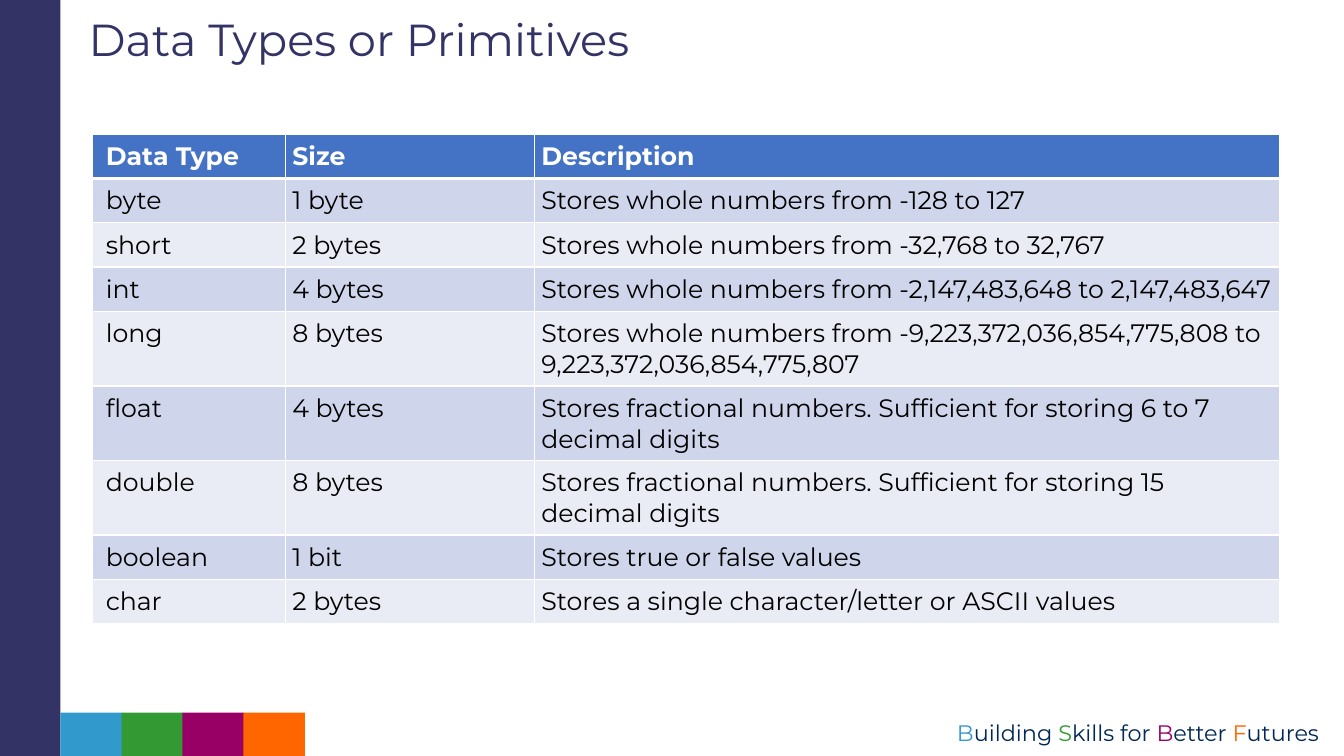
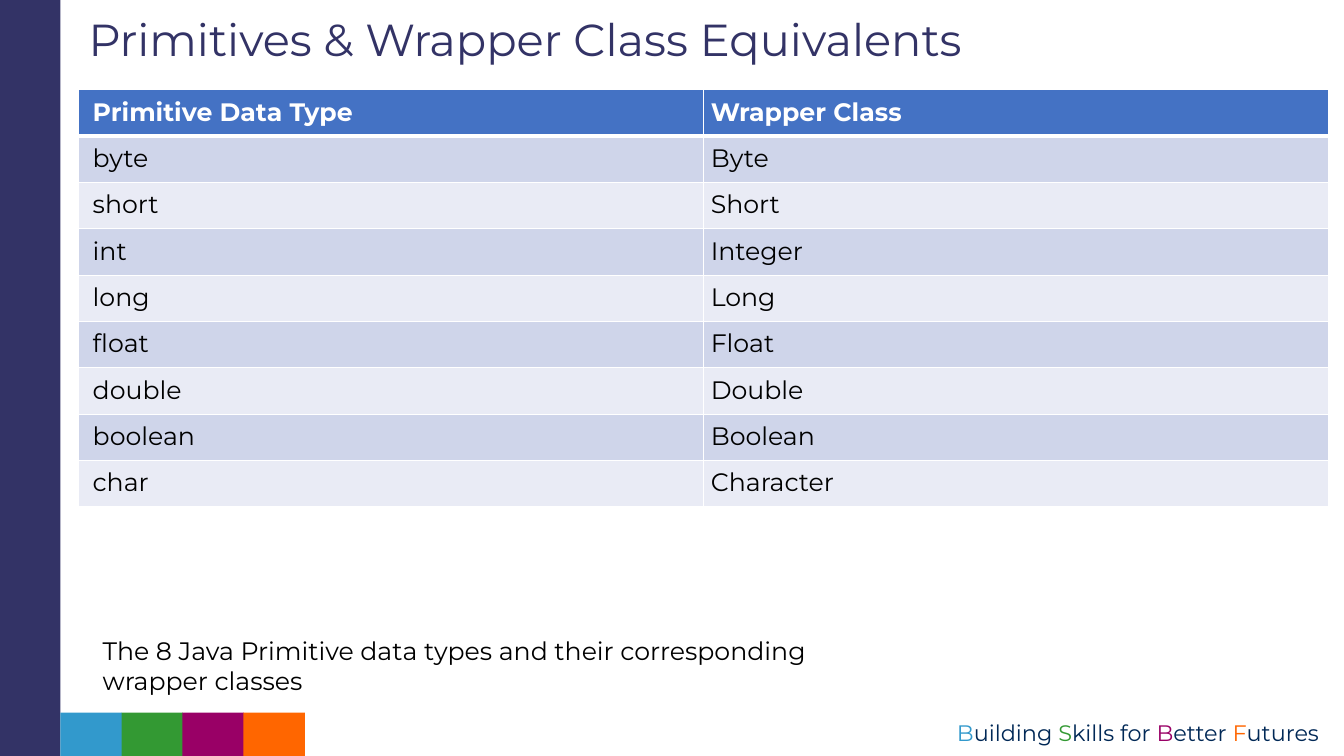
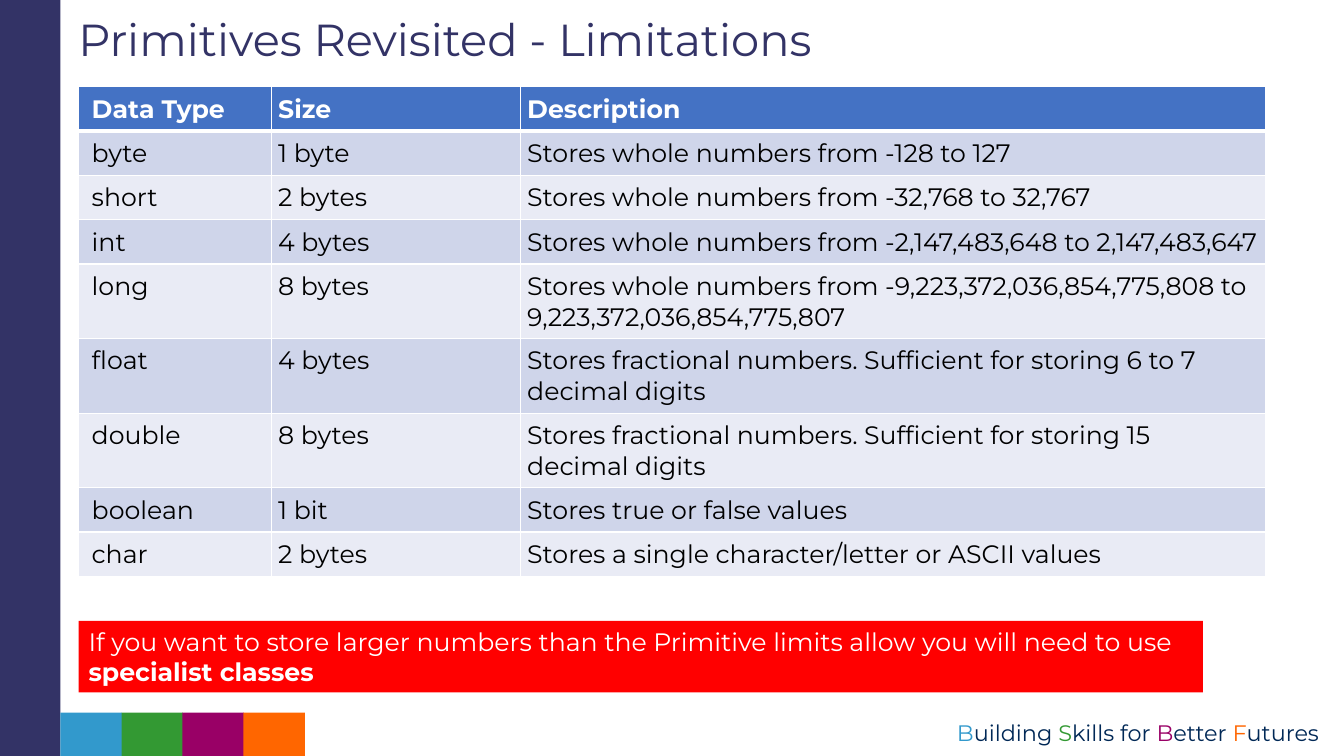
from dataclasses import dataclass

from lxml.etree import SubElement
from pptx import Presentation
from pptx.dml.color import RGBColor
from pptx.enum.shapes import MSO_SHAPE
from pptx.enum.text import MSO_ANCHOR, PP_ALIGN
from pptx.oxml.ns import qn
from pptx.shapes.autoshape import Shape
from pptx.slide import Slide
from pptx.table import _Cell
from pptx.text.text import _Paragraph
from pptx.util import Inches, Pt

FONT = "Montserrat"
NAVY = "333366"
DARK_BLUE = "002856"
BLUE, GREEN, PURPLE, ORANGE = ACCENTS = "3299CC", "339933", "990066", "FF6600"
RED, WHITE, BLACK = "FF0000", "FFFFFF", "000000"
HEADER_FILL = "4472C4"
BAND_FILLS = ("CFD5EA", "E9EBF5")

BAND_WIDTH = 0.6
SQUARE_TOP = 7.07
SLIDE_WIDTH, SLIDE_HEIGHT = 13.33, 7.5
CELL_MARGIN = 0.07

TAGLINE = (
    ("B", BLUE), ("uilding ", DARK_BLUE),
    ("S", GREEN), ("kills for ", DARK_BLUE),
    ("B", PURPLE), ("etter ", DARK_BLUE),
    ("F", ORANGE), ("utures", DARK_BLUE),
)

DATA_TYPES = (
    ("Data Type", "Size", "Description"),
    ("byte", "1 byte", "Stores whole numbers from -128 to 127"),
    ("short", "2 bytes", "Stores whole numbers from -32,768 to 32,767"),
    ("int", "4 bytes", "Stores whole numbers from -2,147,483,648 to 2,147,483,647"),
    ("long", "8 bytes", "Stores whole numbers from -9,223,372,036,854,775,808 to "
                        "9,223,372,036,854,775,807"),
    ("float", "4 bytes", "Stores fractional numbers. Sufficient for storing 6 to 7 decimal digits"),
    ("double", "8 bytes", "Stores fractional numbers. Sufficient for storing 15 decimal digits"),
    ("boolean", "1 bit", "Stores true or false values"),
    ("char", "2 bytes", "Stores a single character/letter or ASCII values"),
)

WRAPPER_CLASSES = (
    ("Primitive Data Type", "Wrapper Class"),
    ("byte", "Byte"),
    ("short", "Short"),
    ("int", "Integer"),
    ("long", "Long"),
    ("float", "Float"),
    ("double", "Double"),
    ("boolean", "Boolean"),
    ("char", "Character"),
)


@dataclass(frozen=True)
class Box:
    left: float
    top: float
    width: float
    height: float

    def lengths(self) -> tuple[Inches, ...]:
        return tuple(map(Inches, (self.left, self.top, self.width, self.height)))


@dataclass(frozen=True)
class TableDesign:
    rows: tuple[tuple[str, ...], ...]
    column_widths: tuple[float, ...]
    row_heights: tuple[float, ...]
    first_margin: float


DATA_TYPE_TABLE = TableDesign(
    DATA_TYPES, (1.91, 2.47, 7.39), (0.44,) * 4 + (0.74,) * 3 + (0.44,) * 2, 0.13)
WRAPPER_TABLE = TableDesign(WRAPPER_CLASSES, (6.2, 6.2), (0.46,) * 9, 0.14)


def color(value: str) -> RGBColor:
    return RGBColor.from_string(value)


def set_font(paragraph: _Paragraph, size: int, text_color: str, bold: bool = False) -> None:
    font = paragraph.font
    font.name, font.size, font.bold = FONT, Pt(size), bold
    font.color.rgb = color(text_color)


def add_rectangle(slide: Slide, box: Box, fill: str) -> Shape:
    shape = slide.shapes.add_shape(MSO_SHAPE.RECTANGLE, *box.lengths())
    shape.shadow.inherit = False
    shape.fill.solid()
    shape.fill.fore_color.rgb = color(fill)
    shape.line.fill.background()
    return shape


def add_text(slide: Slide, box: Box, text: str, size: int, text_color: str) -> _Paragraph:
    frame = slide.shapes.add_textbox(*box.lengths()).text_frame
    frame.word_wrap = True
    paragraph = frame.paragraphs[0]
    paragraph.text = text
    set_font(paragraph, size, text_color)
    return paragraph


def add_base_slide(presentation: Presentation, title: str, title_left: float = 0.78) -> Slide:
    """Add a slide with the side band, coloured squares, tagline and title."""
    slide = presentation.slides.add_slide(presentation.slide_layouts[6])
    add_rectangle(slide, Box(0, 0, BAND_WIDTH, SLIDE_HEIGHT), NAVY)
    for index, accent in enumerate(ACCENTS):
        left = BAND_WIDTH + index * 0.605
        add_rectangle(slide, Box(left, SQUARE_TOP, 0.61, SLIDE_HEIGHT - SQUARE_TOP), accent)

    tagline = add_text(slide, Box(8.36, 7.09, 4.82, 0.37), "", 16, DARK_BLUE)
    tagline.alignment = PP_ALIGN.RIGHT
    for text, run_color in TAGLINE:
        run = tagline.add_run()
        run.text = text
        run.font.color.rgb = color(run_color)

    heading = add_text(slide, Box(title_left, 0.13, 10.35, 0.63), title, 32, NAVY)
    heading.line_spacing = 0.9
    return slide


def set_borders(cell: _Cell, top: int, bottom: int) -> None:
    """Draw white cell borders, with top and bottom widths in points."""
    properties = cell._tc.get_or_add_tcPr()
    for side, width in (("L", 1), ("R", 1), ("T", top), ("B", bottom)):
        line = SubElement(properties, qn(f"a:ln{side}"), w=str(Pt(width)))
        fill = SubElement(line, qn("a:solidFill"))
        SubElement(fill, qn("a:srgbClr"), val=WHITE)


def add_design_table(slide: Slide, left: float, top: float, design: TableDesign) -> None:
    box = Box(left, top, sum(design.column_widths), sum(design.row_heights))
    table = slide.shapes.add_table(
        len(design.rows), len(design.column_widths), *box.lengths()).table
    table.horz_banding = False
    for column, width in zip(table.columns, design.column_widths):
        column.width = Inches(width)
    for row_index, (row, texts) in enumerate(zip(table.rows, design.rows)):
        row.height = Inches(design.row_heights[row_index])
        header = row_index == 0
        for column_index, (cell, text) in enumerate(zip(row.cells, texts)):
            set_borders(cell, 3 if row_index == 1 else 1, 3 if header else 1)
            cell.fill.solid()
            cell.fill.fore_color.rgb = color(
                HEADER_FILL if header else BAND_FILLS[(row_index - 1) % 2])
            cell.margin_left = Inches(CELL_MARGIN if column_index else design.first_margin)
            cell.margin_right = cell.margin_top = cell.margin_bottom = Inches(CELL_MARGIN)
            paragraph = cell.text_frame.paragraphs[0]
            paragraph.text = text
            set_font(paragraph, 18, WHITE if header else BLACK, header)


def add_warning(slide: Slide, box: Box, text: str, emphasis: str) -> None:
    frame = add_rectangle(slide, box, RED).text_frame
    frame.word_wrap = True
    frame.vertical_anchor = MSO_ANCHOR.TOP
    paragraph = frame.paragraphs[0]
    paragraph.alignment = PP_ALIGN.LEFT
    set_font(paragraph, 18, WHITE)
    paragraph.add_run().text = text
    strong = paragraph.add_run()
    strong.text = emphasis
    strong.font.bold = True


def main() -> None:
    presentation = Presentation()
    presentation.slide_width = Inches(SLIDE_WIDTH)
    presentation.slide_height = Inches(SLIDE_HEIGHT)

    data_types = add_base_slide(presentation, "Data Types or Primitives")
    add_design_table(data_types, 0.92, 1.33, DATA_TYPE_TABLE)

    wrappers = add_base_slide(presentation, "Primitives & Wrapper Class Equivalents")
    add_design_table(wrappers, 0.78, 0.89, WRAPPER_TABLE)
    add_text(wrappers, Box(0.92, 6.25, 7.57, 0.71),
             "The 8 Java Primitive data types and their corresponding wrapper classes",
             18, BLACK)

    limitations = add_base_slide(presentation, "Primitives Revisited - Limitations", 0.68)
    add_design_table(limitations, 0.78, 0.86, DATA_TYPE_TABLE)
    add_warning(limitations, Box(0.78, 6.16, 11.15, 0.71),
                "If you want to store larger numbers than the Primitive limits allow "
                "you will need to use ", "specialist classes")

    presentation.save("out.pptx")


if __name__ == "__main__":
    main()
